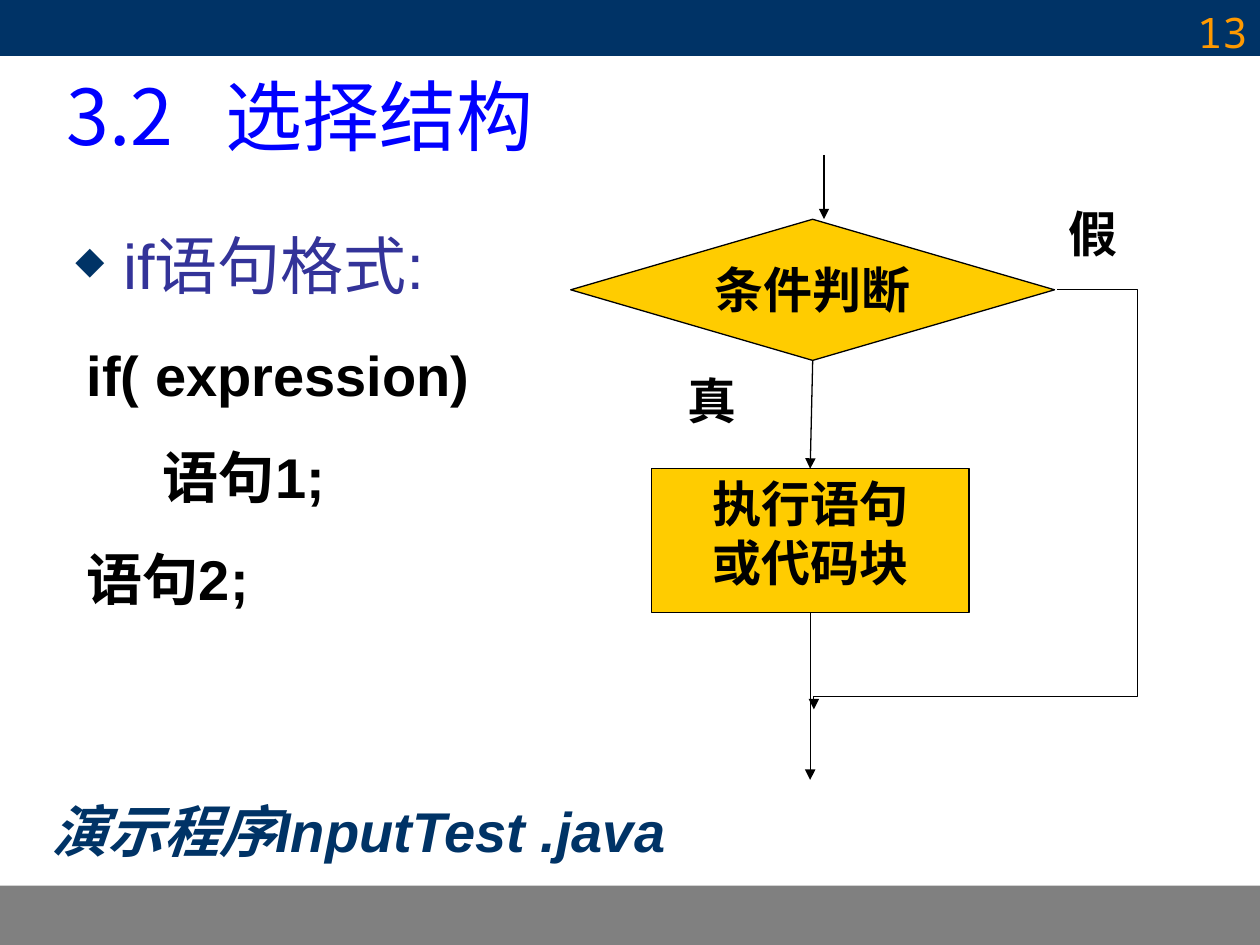
from lxml import etree
from pptx import Presentation
from pptx import util as u
from pptx.dml.color import RGBColor
from pptx.enum import shapes, text
from pptx.oxml import ns

NAVY = RGBColor(0x00, 0x33, 0x66)
GRAY = RGBColor(0x80, 0x80, 0x80)
BLUE = RGBColor(0x00, 0x00, 0xFF)
INDIGO = RGBColor(0x33, 0x33, 0x99)
GOLD = RGBColor(0xFF, 0xCC, 0x00)
ORANGE = RGBColor(0xFF, 0x99, 0x00)
BLACK = RGBColor(0, 0, 0)
WHITE = RGBColor(0xFF, 0xFF, 0xFF)

WIDTH, HEIGHT = u.Inches(10), u.Inches(7.5)
COLUMNS, ROWS = 100, 75
CJK, SANS, SERIF, MONO = "Noto Sans CJK SC", "Arial", "Times New Roman", "Noto Sans Mono"
KIND = shapes.MSO_SHAPE
ALIGN = text.PP_ALIGN


def x(column):
    return round(WIDTH * column / COLUMNS)


def y(row):
    return round(HEIGHT * row / ROWS)


def box(left, top, width, height):
    return x(left), y(top), x(width), y(height)


def child(parent, tag, **attrs):
    return etree.SubElement(parent, ns.qn(tag), attrs)


def write(sp, lines, size, font, color, align=ALIGN.LEFT, bold=False, italic=False,
          gap=0, inset=(0.1, 0.05)):
    tf = sp.text_frame
    tf.word_wrap = True
    tf.vertical_anchor = text.MSO_ANCHOR.TOP
    tf.margin_left = tf.margin_right = u.Inches(inset[0])
    tf.margin_top = tf.margin_bottom = u.Inches(inset[1])
    tf.text = "\n".join(lines)
    for i, p in enumerate(tf.paragraphs):
        p.alignment = align
        if i and gap:
            p.space_before = u.Pt(gap)
        for r in p.runs:
            r.font.size, r.font.name = u.Pt(size), font
            r.font.bold, r.font.italic = bold, italic
            r.font.color.rgb = color
            child(r._r.get_or_add_rPr(), "a:ea", typeface=CJK)
    return tf


def add_text(s, area, lines, size, font, color, **style):
    return write(s.shapes.add_textbox(*box(*area)), lines, size, font, color, **style)


def add_shape(s, kind, area, fill, line=None):
    sp = s.shapes.add_shape(kind, *box(*area))
    sp.shadow.inherit = False
    sp.fill.solid()
    sp.fill.fore_color.rgb = fill
    if line is None:
        sp.line.fill.background()
    else:
        sp.line.color.rgb = line
        sp.line.width = u.Pt(0.75)
    return sp


def add_node(s, kind, area, lines):
    sp = add_shape(s, kind, area, GOLD, BLACK)
    write(sp, lines, 28, SERIF, BLACK, align=ALIGN.CENTER, bold=True, inset=(0.09, 0.04))
    return sp


def add_label(s, area, label, tip):
    sp = add_shape(s, KIND.ROUNDED_RECTANGULAR_CALLOUT, area, WHITE)
    sp.adjustments[0], sp.adjustments[1] = tip
    write(sp, [label], 28, SERIF, BLACK, align=ALIGN.JUSTIFY, bold=True, inset=(0.09, 0.04))


def add_arrow(s, start, end, kind=shapes.MSO_CONNECTOR.STRAIGHT):
    c = s.shapes.add_connector(kind, x(start[0]), y(start[1]), x(end[0]), y(end[1]))
    c.line.color.rgb = BLACK
    c.line.width = u.Pt(0.75)
    child(c.line._get_or_add_ln(), "a:tailEnd", type="triangle")
    child(c._element.spPr, "a:effectLst")
    return c


def add_bypass(s, start, end, bends):
    c = add_arrow(s, start, end, shapes.MSO_CONNECTOR.ELBOW)
    geom = c._element.spPr.find(ns.qn("a:prstGeom"))
    geom.set("prst", "bentConnector4")
    for old in list(geom):
        geom.remove(old)
    guides = child(geom, "a:avLst")
    for i, bend in enumerate(bends, 1):
        child(guides, "a:gd", name=f"adj{i}", fmla=f"val {round(bend * 100000)}")


def add_bullet(p, char, color, percent, indent):
    pPr = p._p.get_or_add_pPr()
    pPr.set("marL", str(u.Inches(indent)))
    pPr.set("indent", str(-u.Inches(indent)))
    child(child(pPr, "a:buClr"), "a:srgbClr", val=str(color))
    child(pPr, "a:buSzPct", val=str(percent * 1000))
    child(pPr, "a:buChar", char=char)


def add_tab_stop(p, position):
    tabs = child(p._p.get_or_add_pPr(), "a:tabLst")
    child(tabs, "a:tab", pos=str(u.Inches(position)), algn="l")


def add_flowchart(s):
    add_arrow(s, (65.4, 12.3), (65.4, 17.4))
    test = add_node(s, KIND.DIAMOND, (45.3, 17.4, 38.4, 11.2), ["条件判断"])
    action = add_node(s, KIND.RECTANGLE, (51.7, 37.2, 25.2, 11.4), ["执行语句", "或代码块"])
    yes = add_arrow(s, (64.5, 28.6), (64.3, 37.2))
    yes.begin_connect(test, 2)
    yes.end_connect(action, 0)
    done = add_arrow(s, (64.3, 48.6), (64.3, 61.9))
    done.begin_connect(action, 2)
    add_bypass(s, (83.9, 23), (64.6, 56.3), (-0.33, 0.97))
    add_label(s, (53.3, 28.7, 8.1, 6.7), "真", (-0.44, 0.19))
    add_label(s, (83.6, 15.5, 10.5, 5.7), "假", (-0.44, 0.58))


def main():
    prs = Presentation()
    prs.slide_width, prs.slide_height = WIDTH, HEIGHT
    s = prs.slides.add_slide(prs.slide_layouts[6])

    add_shape(s, KIND.RECTANGLE, (0, 70.3, COLUMNS, 4.7), GRAY)
    add_shape(s, KIND.RECTANGLE, (0, 0, COLUMNS, 4.4), NAVY, NAVY)

    title = add_text(s, (4.3, 3.6, 90, 11), ["3.2\t选择结构"], 44, CJK, BLUE)
    title.vertical_anchor = text.MSO_ANCHOR.MIDDLE
    add_tab_stop(title.paragraphs[0], 1.26)

    body = add_text(s, (5, 17.5, 92.3, 49.5), ["if语句格式:"], 36, SANS, INDIGO)
    add_bullet(body.paragraphs[0], "◆", NAVY, 60, 0.38)

    add_text(s, (5.9, 26.5, 43.3, 22.6), ["if( expression)", "      语句1;", "语句2;"],
             32, SANS, BLACK, bold=True, gap=20)
    add_text(s, (2, 62.7, 52.9, 6.4), ["演示程序InputTest .java"], 32, SANS, NAVY,
             align=ALIGN.CENTER, bold=True, italic=True)
    add_flowchart(s)
    add_text(s, (76.7, 0, 23.3, 5.2), ["13"], 24, MONO, ORANGE, align=ALIGN.RIGHT)

    prs.save("out.pptx")


if __name__ == "__main__":
    main()
